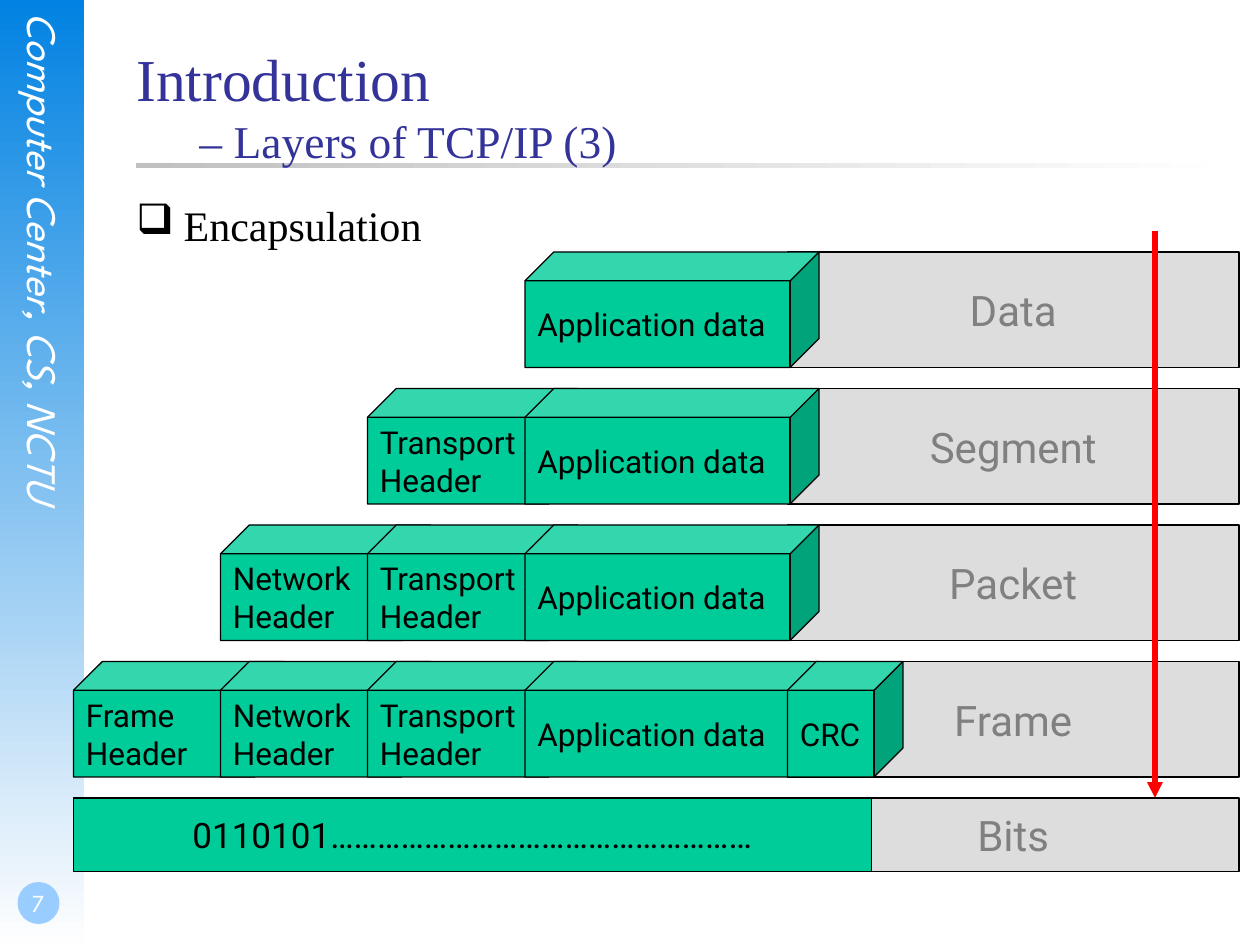
from lxml import etree
from pptx import Presentation
from pptx.dml.color import RGBColor
from pptx.enum import shapes, text
from pptx.oxml import ns
from pptx.util import Pt

COLORS = {
    "sky": "0282E2", "pale": "FEFEFE", "silver": "C0C0C0", "badge": "99CCFF",
    "white": "FFFFFF", "navy": "333399", "black": "000000", "gray": "808080",
    "label": "DDDDDD", "green": "00CC99", "red": "FF0000",
}
SERIF, SIDE, SANS = "Times New Roman", "League Spartan", "Roboto"
RECT = shapes.MSO_SHAPE.RECTANGLE
CUBE = shapes.MSO_SHAPE.CUBE

# Diagram grid, in points
ROW_TOP, ROW_PITCH, ROW_HEIGHT = 144, 78, 66
LABEL_LEFT, LABEL_WIDTH = 450, 258
BITS_LEFT, BITS_TOP, BITS_WIDTH, BITS_HEIGHT = 42, 456, 456, 42

# Each block: text lines, left, width
FRAME = (["Frame", "Header"], 42, 120)
NETWORK = (["Network", "Header"], 126, 120)
TRANSPORT = (["Transport", "Header"], 210, 120)
APPLICATION = (["Application data"], 300, 168)
CRC = (["CRC"], 450, 66)
LAYERS = [
    ("Data", [APPLICATION]),
    ("Segment", [TRANSPORT, APPLICATION]),
    ("Packet", [NETWORK, TRANSPORT, APPLICATION]),
    ("Frame", [FRAME, NETWORK, TRANSPORT, APPLICATION, CRC]),
]


def color(name):
    return RGBColor.from_string(COLORS[name])


def add_run(paragraph, words, size, font, shade, italic=None):
    run = paragraph.add_run()
    run.text = words
    run.font.size = Pt(size)
    run.font.name = font
    run.font.italic = italic
    run.font.color.rgb = color(shade)


def add_text_box(slide, left, top, width, height):
    """Add a wrapping text box without insets and return its text frame."""
    frame = slide.shapes.add_textbox(Pt(left), Pt(top), Pt(width), Pt(height)).text_frame
    frame.word_wrap = True
    frame.margin_left = frame.margin_top = frame.margin_right = frame.margin_bottom = 0
    return frame


def add_plain_shape(slide, kind, left, top, width, height):
    shape = slide.shapes.add_shape(kind, Pt(left), Pt(top), Pt(width), Pt(height))
    shape.shadow.inherit = False
    shape.line.fill.background()
    return shape


def add_gradient_bar(slide, left, top, width, height, start, end, angle):
    bar = add_plain_shape(slide, RECT, left, top, width, height)
    bar.fill.gradient()
    bar.fill.gradient_angle = angle
    for stop, name in zip(bar.fill.gradient_stops, (start, end)):
        stop.color.rgb = color(name)


def add_block(slide, kind, left, top, width, height, fill, lines, size, shade, align):
    """Add an outlined block with one paragraph for each line of text."""
    block = add_plain_shape(slide, kind, left, top, width, height)
    block.fill.solid()
    block.fill.fore_color.rgb = color(fill)
    block.line.color.rgb = color("black")
    block.line.width = Pt(0.75)
    frame = block.text_frame
    frame.word_wrap = False
    frame.vertical_anchor = text.MSO_ANCHOR.MIDDLE
    for index, line in enumerate(lines):
        paragraph = frame.add_paragraph() if index else frame.paragraphs[0]
        paragraph.alignment = align
        add_run(paragraph, line, size, SANS, shade)


def add_label(slide, top, height, words):
    add_block(slide, RECT, LABEL_LEFT, top, LABEL_WIDTH, height,
              "label", [words], 24, "gray", text.PP_ALIGN.CENTER)


def add_arrow(slide, x, top, bottom):
    arrow = slide.shapes.add_connector(
        shapes.MSO_CONNECTOR.STRAIGHT, Pt(x), Pt(top), Pt(x), Pt(bottom))
    arrow.line.color.rgb = color("red")
    arrow.line.width = Pt(3)
    etree.SubElement(arrow.line._get_or_add_ln(), ns.qn("a:tailEnd"), type="triangle")
    etree.SubElement(arrow._element.spPr, ns.qn("a:effectLst"))


def add_bullet(paragraph, character, indent):
    properties = paragraph._p.get_or_add_pPr()
    properties.set("marL", str(Pt(indent)))
    properties.set("indent", str(-Pt(indent)))
    bullet_color = etree.SubElement(properties, ns.qn("a:buClr"))
    etree.SubElement(bullet_color, ns.qn("a:srgbClr"), val=COLORS["black"])
    etree.SubElement(properties, ns.qn("a:buChar"), char=character)


def add_sidebar(slide):
    add_gradient_bar(slide, 0, 0, 48, 540, "sky", "pale", 270)
    frame = add_text_box(slide, 11, 7, 29, 368)
    frame._txBody.bodyPr.set("vert", "eaVert")
    add_run(frame.paragraphs[0], "Computer Center, CS, NCTU", 24, SIDE, "white", True)

    # Page number on its badge
    badge = add_plain_shape(slide, shapes.MSO_SHAPE.OVAL, 10, 504, 24, 24)
    badge.fill.solid()
    badge.fill.fore_color.rgb = color("badge")
    frame = add_text_box(slide, 0, 492, 42, 36)
    frame.margin_left, frame.margin_bottom = Pt(1.5), Pt(3.6)
    frame.vertical_anchor = text.MSO_ANCHOR.BOTTOM
    frame.paragraphs[0].alignment = text.PP_ALIGN.CENTER
    add_run(frame.paragraphs[0], "7", 14, SIDE, "white")


def add_headings(slide):
    add_gradient_bar(slide, 78, 93, 612, 3, "pale", "silver", 180)
    title = add_text_box(slide, 78, 20, 612, 90)
    title.margin_top = Pt(4)
    paragraph = title.paragraphs[0]
    add_run(paragraph, "Introduction", 34, SERIF, "navy")
    paragraph.add_line_break()
    add_run(paragraph, "\t– Layers of TCP/IP (3)", 26, SERIF, "navy")

    body = add_text_box(slide, 78, 114, 612, 366)
    add_bullet(body.paragraphs[0], "❑", 27)
    add_run(body.paragraphs[0], "Encapsulation", 24, SERIF, "black")


def add_diagram(slide):
    # One row for each layer
    for row, (label, blocks) in enumerate(LAYERS):
        top = ROW_TOP + row * ROW_PITCH
        add_label(slide, top, ROW_HEIGHT, label)
        for lines, left, width in blocks:
            add_block(slide, CUBE, left, top, width, ROW_HEIGHT,
                      "green", lines, 18, "black", text.PP_ALIGN.LEFT)

    # Direction of encapsulation, then the bit stream
    add_arrow(slide, 660, 132, BITS_TOP)
    add_label(slide, BITS_TOP, BITS_HEIGHT, "Bits")
    add_block(slide, RECT, BITS_LEFT, BITS_TOP, BITS_WIDTH, BITS_HEIGHT, "green",
              ["0110101………………………………………………"], 20, "black", text.PP_ALIGN.CENTER)


def main():
    presentation = Presentation()
    presentation.slide_width, presentation.slide_height = Pt(720), Pt(540)
    slide = presentation.slides.add_slide(presentation.slide_layouts[6])
    add_sidebar(slide)
    add_headings(slide)
    add_diagram(slide)
    presentation.save("out.pptx")


if __name__ == "__main__":
    main()
